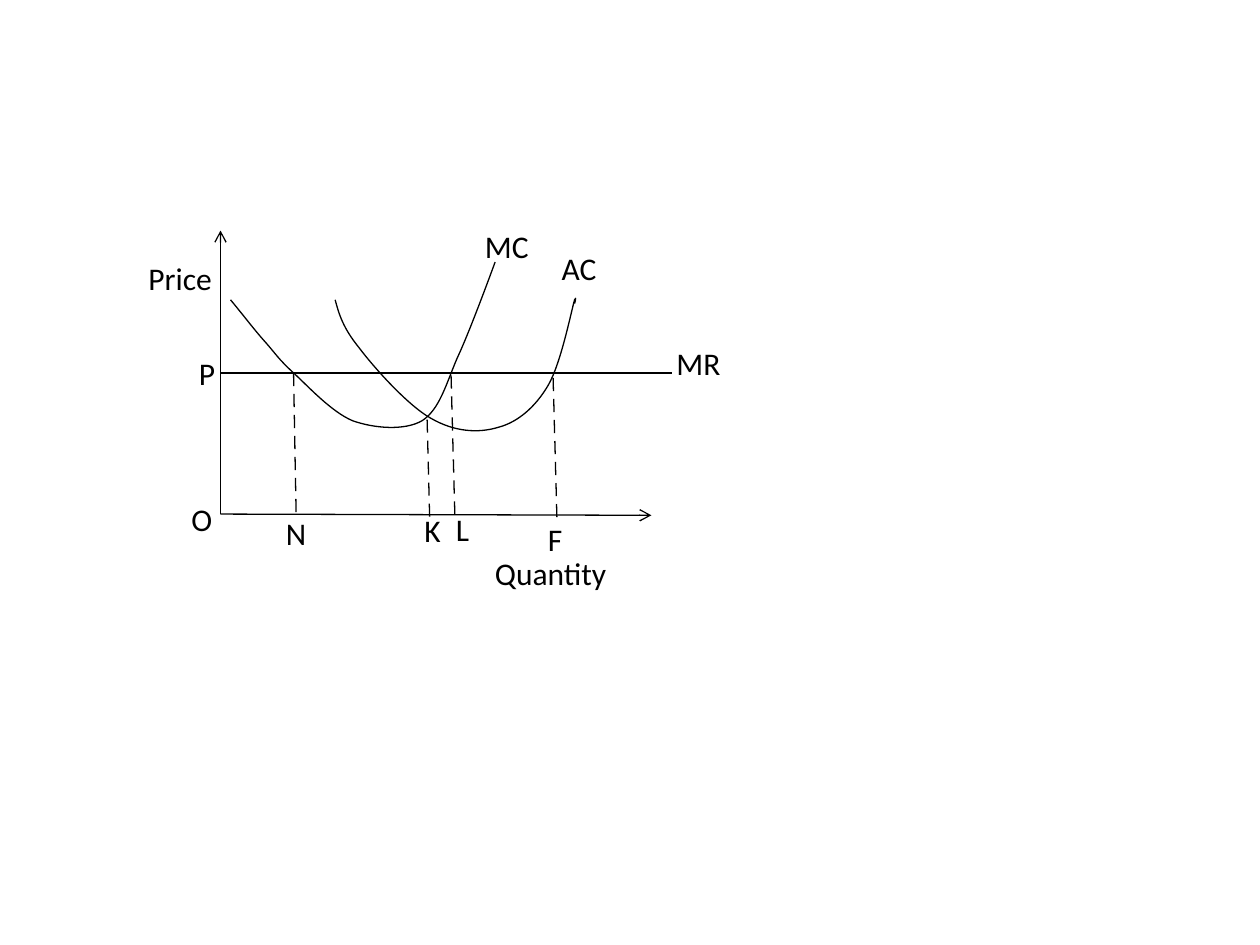
from lxml import etree
from pptx import Presentation
from pptx.dml.color import RGBColor
from pptx.enum.shapes import MSO_CONNECTOR
from pptx.enum.text import MSO_AUTO_SIZE
from pptx.oxml.ns import qn
from pptx.util import Pt

PX = 9144  # EMU in one px, 100 px to the inch
BLACK = RGBColor(0, 0, 0)
STRAIGHT = MSO_CONNECTOR.STRAIGHT
FIT_TEXT = MSO_AUTO_SIZE.SHAPE_TO_FIT_TEXT
LINE_WIDTH = Pt(0.75)
LABEL_HEIGHT = 40
DASH, DASH_STEP = 10.42, 16.67

# Start, end, arrowhead at the end
AXES = [
    ((175, 408), (175, 183), True),   # price
    ((175, 408), (517, 409), True),   # quantity
    ((175, 296), (533, 296), False),  # marginal revenue
]

# Start point, then two controls and an end point for each Bézier segment
AVERAGE_COST = [
    (266, 238),
    (269, 249), (272, 260), (285, 276),
    (297, 292), (324, 322), (342, 332),
    (361, 343), (380, 344), (396, 339),
    (411, 335), (425, 323), (435, 306),
    (445, 289), (453, 249), (456, 238),
    (458, 234), (456, 241), (456, 241),
]
MARGINAL_COST = [
    (183, 238),
    (193, 250), (202, 262), (211, 272),
    (219, 281), (221, 285), (233, 296),
    (244, 306), (263, 327), (280, 334),
    (297, 340), (321, 342), (335, 334),
    (349, 325), (354, 305), (363, 284),
    (373, 263), (393, 208), (393, 208),
]

# Top x, bottom x, top y, number of dashes
DROP_LINES = [
    (233, 235, 296, 7),  # N
    (339, 341, 333, 5),  # K
    (358, 361, 298, 7),  # L
    (439, 442, 300, 7),  # F
]

# Text, left, top, width
LABELS = [
    ("MC", 375, 175, 55),
    ("AC", 436, 193, 48),
    ("MR", 527, 268, 55),
    ("Price", 108, 201, 77),
    ("P", 148, 276, 39),
    ("O", 142, 392, 43),
    ("F", 425, 408, 32),
    ("L", 352, 400, 31),
    ("K", 327, 401, 33),
    ("N", 217, 403, 36),
    ("Quantity", 383, 435, 116),
]


def emu(*lengths):
    return [round(length * PX) for length in lengths]


def style_line(line):
    line.color.rgb = BLACK
    line.width = LINE_WIDTH


def add_line(slide, start, end, arrow=False):
    connector = slide.shapes.add_connector(STRAIGHT, *emu(*start, *end))
    style_line(connector.line)
    properties = connector._element.spPr
    if arrow:
        etree.SubElement(properties.find(qn("a:ln")), qn("a:tailEnd"), type="arrow")
    etree.SubElement(properties, qn("a:effectLst"))


def add_curve(slide, knots):
    builder = slide.shapes.build_freeform(*emu(*knots[0]))
    builder.add_line_segments([emu(*knot) for knot in knots[1:]], close=False)
    shape = builder.convert_to_shape()
    shape.shadow.inherit = False
    shape.fill.background()
    style_line(shape.line)

    # Turn every three straight segments into one Bézier segment
    segments = list(shape._element.iter(qn("a:lnTo")))
    for first in range(0, len(segments), 3):
        bezier = etree.Element(qn("a:cubicBezTo"))
        segments[first].addprevious(bezier)
        for segment in segments[first:first + 3]:
            bezier.append(segment[0])
            segment.getparent().remove(segment)


def add_drop_line(slide, top_x, bottom_x, top, count):
    height = (count - 1) * DASH_STEP + DASH
    for index in range(count):
        offsets = (index * DASH_STEP, index * DASH_STEP + DASH)
        start, end = [
            (top_x + (bottom_x - top_x) * offset / height, top + offset)
            for offset in offsets
        ]
        add_line(slide, start, end)


def add_label(slide, text, left, top, width):
    box = slide.shapes.add_textbox(*emu(left, top, width, LABEL_HEIGHT))
    frame = box.text_frame
    frame.word_wrap = False
    frame.auto_size = FIT_TEXT
    run = frame.paragraphs[0].add_run()
    run.text = text
    run.font.name = "Calibri"
    run.font.size = Pt(18)
    run.font.color.rgb = BLACK


def main():
    presentation = Presentation()
    presentation.slide_width, presentation.slide_height = emu(1000, 750)
    slide = presentation.slides.add_slide(presentation.slide_layouts[6])

    # Axes and the price line
    for axis in AXES:
        add_line(slide, *axis)
    # Cost curves
    for curve in (AVERAGE_COST, MARGINAL_COST):
        add_curve(slide, curve)
    # Dashed drops to the quantity axis
    for drop_line in DROP_LINES:
        add_drop_line(slide, *drop_line)
    # Labels
    for label in LABELS:
        add_label(slide, *label)

    presentation.save("out.pptx")


if __name__ == "__main__":
    main()
